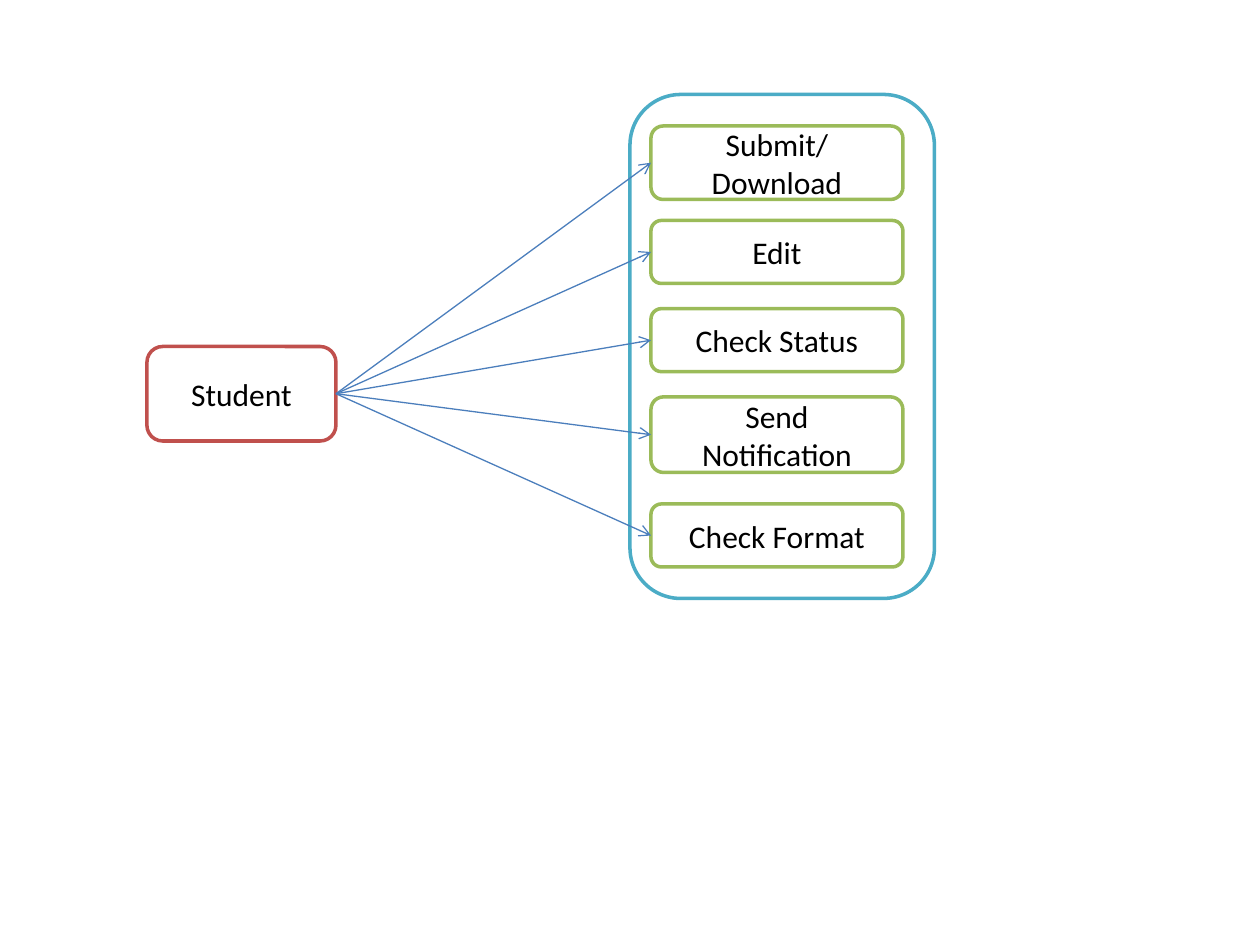
"""Build a use-case slide that links a student to five actions."""
from lxml.etree import SubElement
from pptx import Presentation
from pptx.dml.color import RGBColor
from pptx.enum.shapes import MSO_CONNECTOR, MSO_SHAPE
from pptx.enum.text import MSO_ANCHOR, PP_ALIGN
from pptx.oxml.ns import qn
from pptx.util import Inches, Pt

COLORS = {
    "paper": "FFFFFF",
    "text": "000000",
    "system": "4BACC6",
    "action": "9BBB59",
    "actor": "C0504D",
    "arrow": "4B7EBC",
}
SLIDE_WIDTH, SLIDE_HEIGHT = Inches(10), Inches(7.5)
COLUMN, ROW = SLIDE_WIDTH / 60, SLIDE_HEIGHT / 90
ACTION_COLUMN, ACTION_COLUMNS = 31, 12
ACTIONS = [
    ("Submit/\nDownload", 12, 7),
    ("Edit", 21, 6),
    ("Check Status", 29.4, 6),
    ("Send Notification", 37.8, 7.2),
    ("Check Format", 48, 6),
]
LEFT_SITE, RIGHT_SITE = 1, 3


def color(name):
    """Return the named colour."""
    return RGBColor.from_string(COLORS[name])


def add_box(shapes, column, row, columns, rows, outline, text=""):
    """Add an outlined rounded box placed on the slide grid."""
    shape = shapes.add_shape(
        MSO_SHAPE.ROUNDED_RECTANGLE,
        round(column * COLUMN), round(row * ROW),
        round(columns * COLUMN), round(rows * ROW),
    )
    shape.shadow.inherit = False
    shape.fill.solid()
    shape.fill.fore_color.rgb = color("paper")
    shape.line.color.rgb = color(outline)
    shape.line.width = Pt(2)
    if text:
        write_label(shape.text_frame, text)
    return shape


def write_label(text_frame, text):
    """Write centred label text, one paragraph per line."""
    text_frame.text = text
    text_frame.word_wrap = True
    text_frame.vertical_anchor = MSO_ANCHOR.MIDDLE
    for paragraph in text_frame.paragraphs:
        paragraph.alignment = PP_ALIGN.CENTER
        for run in paragraph.runs:
            run.font.name = "Calibri"
            run.font.size = Pt(18)
            run.font.color.rgb = color("text")


def add_arrow(shapes, source, target):
    """Connect the right side of source to the left side of target."""
    connector = shapes.add_connector(MSO_CONNECTOR.STRAIGHT, 0, 0, 0, 0)
    connector.begin_connect(source, RIGHT_SITE)
    connector.end_connect(target, LEFT_SITE)
    connector.line.color.rgb = color("arrow")
    connector.line.width = Pt(0.75)
    SubElement(connector.line._get_or_add_ln(), qn("a:tailEnd"), type="arrow")
    SubElement(connector._element.spPr, qn("a:effectLst"))


def main():
    """Build and save the slide."""
    presentation = Presentation()
    presentation.slide_width, presentation.slide_height = SLIDE_WIDTH, SLIDE_HEIGHT
    slide = presentation.slides.add_slide(presentation.slide_layouts[6])
    system = slide.shapes.add_group_shape()
    add_box(system.shapes, 30, 9, 14.5, 48, "system")
    actions = [
        add_box(system.shapes, ACTION_COLUMN, row, ACTION_COLUMNS, rows, "action", text)
        for text, row, rows in ACTIONS
    ]
    student = add_box(slide.shapes, 7, 33, 9, 9, "actor", "Student")
    for action in actions:
        add_arrow(slide.shapes, student, action)
    presentation.save("out.pptx")


if __name__ == "__main__":
    main()
